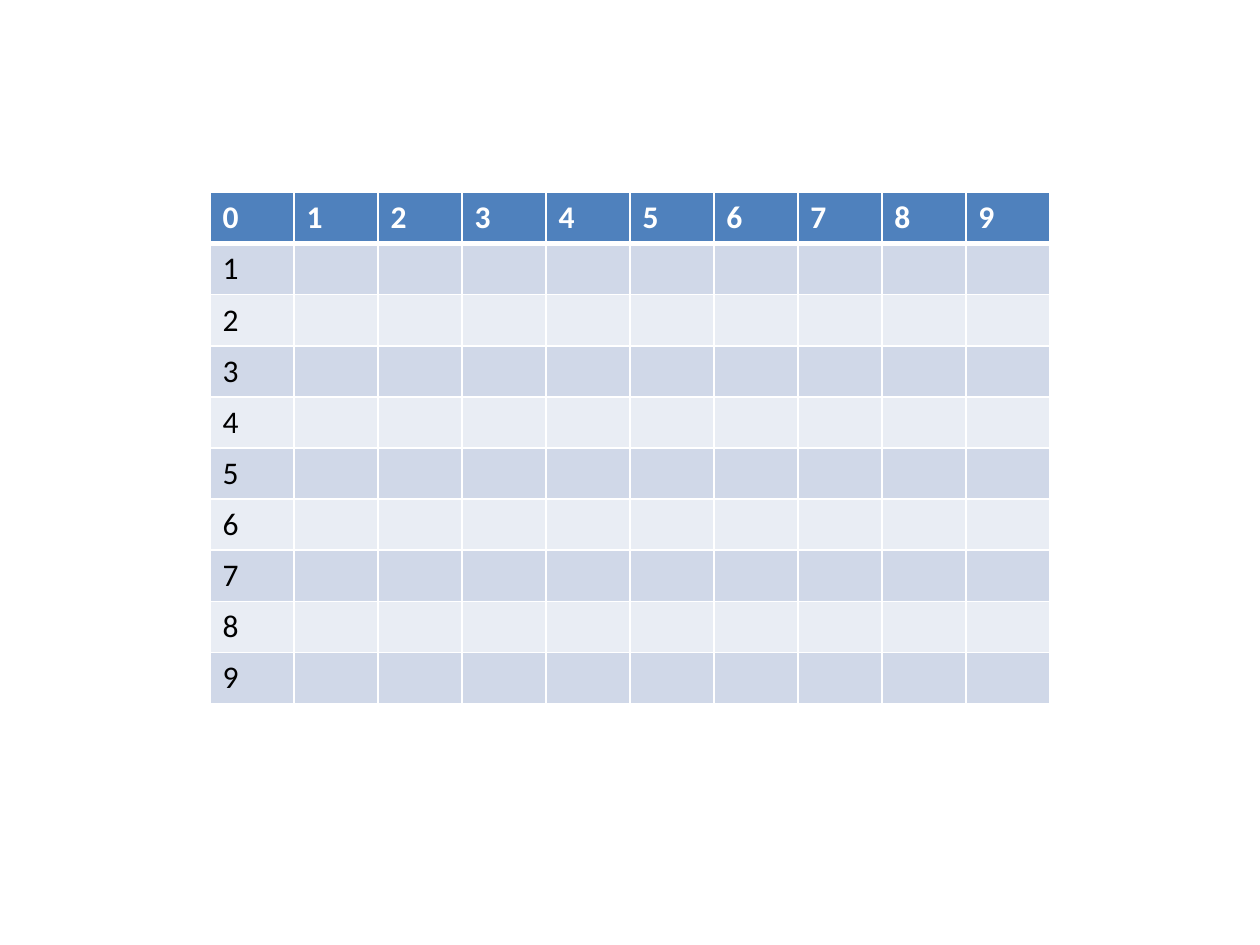
from lxml import etree
from pptx import Presentation
from pptx.dml.color import RGBColor
from pptx.oxml.ns import qn
from pptx.util import Pt

BLANK_LAYOUT = 6
COUNT = 10
COLUMN_WIDTH = 48
ROW_HEIGHT = 29.2


def color(value):
    return RGBColor.from_string(value)


class NumberGrid:
    font = "Calibri"
    size = 18
    header_fill = "4F81BD"
    header_text = "FFFFFF"
    body_text = "000000"
    bands = ("E9EDF4", "D0D8E8")
    border = "FFFFFF"

    def __init__(self, slide):
        self.slide = slide

    def table(self, left, top, values, column_width, row_height):
        rows, columns = len(values), len(values[0])
        frame = self.slide.shapes.add_table(
            rows, columns, Pt(left), Pt(top),
            Pt(columns * column_width), Pt(rows * row_height))
        table = frame.table
        for column in table.columns:
            column.width = Pt(column_width)
        for row in table.rows:
            row.height = Pt(row_height)
        for row_index, row_values in enumerate(values):
            for column_index, value in enumerate(row_values):
                self.cell(table.cell(row_index, column_index), value, row_index)

    def cell(self, cell, value, row_index):
        header = row_index == 0
        self.borders(cell, L=1, R=1, T=3 if row_index == 1 else 1,
                     B=3 if header else 1)
        cell.fill.solid()
        fill = self.header_fill if header else self.bands[row_index % 2]
        cell.fill.fore_color.rgb = color(fill)
        cell.text_frame.text = value
        for span in cell.text_frame.paragraphs[0].runs:
            span.font.name = self.font
            span.font.size = Pt(self.size)
            span.font.bold = header
            span.font.color.rgb = color(self.header_text if header else self.body_text)

    def borders(self, cell, **widths):
        properties = cell._tc.get_or_add_tcPr()
        for side, width in widths.items():
            line = etree.SubElement(properties, qn(f"a:ln{side}"), w=str(Pt(width)))
            fill = etree.SubElement(line, qn("a:solidFill"))
            etree.SubElement(fill, qn("a:srgbClr"), val=self.border)


deck = Presentation()
deck.slide_width, deck.slide_height = Pt(720), Pt(540)
page = NumberGrid(deck.slides.add_slide(deck.slide_layouts[BLANK_LAYOUT]))
numbers = [str(number) for number in range(COUNT)]
values = [numbers] + [[number] + [""] * (COUNT - 1) for number in numbers[1:]]
page.table(120, 110, values, COLUMN_WIDTH, ROW_HEIGHT)
deck.save("out.pptx")
